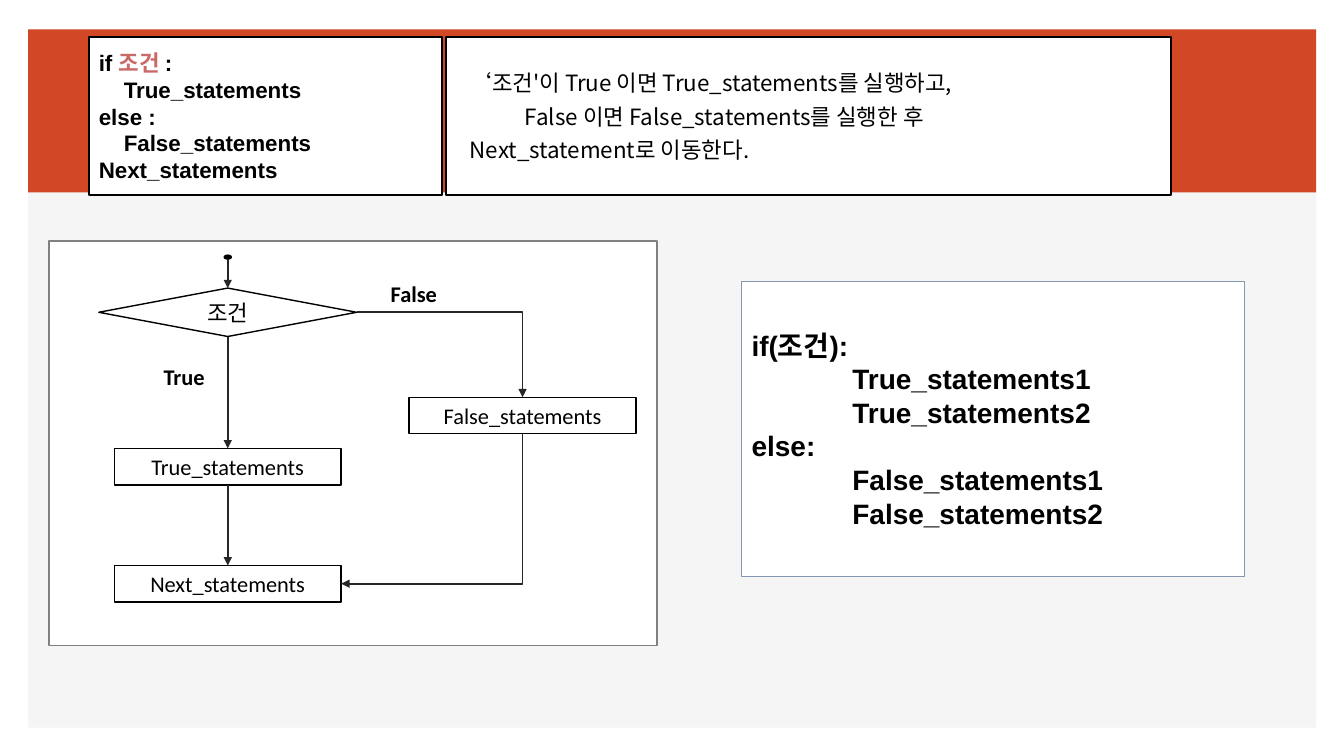
from pptx import Presentation
from pptx.dml.color import RGBColor
from pptx.enum.shapes import MSO_CONNECTOR, MSO_SHAPE
from pptx.enum.text import MSO_ANCHOR, PP_ALIGN
from pptx.oxml.ns import qn
from pptx.util import Cm, Pt
from lxml.etree import SubElement

KOREAN = "Noto Sans CJK KR"
BLACK = "000000"
WHITE = "FFFFFF"
FLOW_LINE = "262626"
CODE = {"name": "Arial", "size": Pt(16), "bold": True}
BIG_CODE = {**CODE, "size": Pt(20)}
NOTE = {"name": KOREAN, "size": Pt(16)}
STEP = {"name": "Calibri", "size": Pt(16)}
BRANCH = {**STEP, "bold": True}
CENTERED = {"alignment": PP_ALIGN.CENTER}

AXIS_X = 5.74
FALSE_X = 13.17
STEP_WIDTH = 5.72
STEP_HEIGHT = 0.92
CONDITION_WIDTH = 6.5
CONDITION_TOP = 7.26
CONDITION_HEIGHT = 1.22
TRUE_TOP = 11.3
FALSE_TOP = 10.01
NEXT_TOP = 14.25


def color(value):
    return RGBColor.from_string(value)


def set_attributes(target, values):
    for name, value in values.items():
        setattr(target, name, value)


def add_box(slide, kind, left, top, width, height, fill=None, line=None, weight=1):
    shape = slide.shapes.add_shape(kind, Cm(left), Cm(top), Cm(width), Cm(height))
    shape.shadow.inherit = False
    if fill:
        shape.fill.solid()
        shape.fill.fore_color.rgb = color(fill)
    else:
        shape.fill.background()
    if line:
        shape.line.color.rgb = color(line)
        shape.line.width = Pt(weight)
    else:
        shape.line.fill.background()
    return shape


def write(shape, lines, font, layout, indent=0, wrap=True, inset=0.25):
    frame = shape.text_frame
    set_attributes(frame, {
        "word_wrap": wrap, "vertical_anchor": MSO_ANCHOR.MIDDLE,
        "margin_left": Cm(inset), "margin_right": Cm(0.25),
        "margin_top": Cm(0.13), "margin_bottom": Cm(0.13)})
    for index, line in enumerate(lines):
        paragraph = frame.paragraphs[0] if index == 0 else frame.add_paragraph()
        set_attributes(paragraph, layout)
        if line.startswith("\t"):
            paragraph._p.get_or_add_pPr().set("marL", str(Cm(indent)))
        add_run(paragraph, line.strip("\t"), font)


def add_run(paragraph, text, font, text_color=BLACK):
    run = paragraph.add_run()
    run.text = text
    set_attributes(run.font, font)
    run.font.color.rgb = color(text_color)
    SubElement(run._r.get_or_add_rPr(), qn("a:ea")).set("typeface", KOREAN)


def add_step(slide, kind, center, top, width, height, text):
    shape = add_box(slide, kind, center - width / 2, top, width, height, line=BLACK)
    write(shape, [text], STEP, CENTERED)


def add_label(slide, left, top, width, text):
    label = slide.shapes.add_textbox(Cm(left), Cm(top), Cm(width), Cm(0.94))
    write(label, [text], BRANCH, CENTERED, wrap=False)


def add_arrow(slide, start, end, kind=MSO_CONNECTOR.STRAIGHT):
    arrow = slide.shapes.add_connector(kind, *map(Cm, start + end))
    arrow.line.color.rgb = color(FLOW_LINE)
    arrow.line.width = Pt(1.25)
    properties = arrow._element.spPr
    SubElement(properties.find(qn("a:ln")), qn("a:tailEnd")).set("type", "triangle")
    SubElement(properties, qn("a:effectLst"))
    return arrow


def add_bend(slide, start, end, turned=False):
    if turned:
        middle_x, middle_y = (start[0] + end[0]) / 2, (start[1] + end[1]) / 2
        half_width, half_height = abs(end[1] - start[1]) / 2, abs(end[0] - start[0]) / 2
        start = (middle_x - half_width, middle_y - half_height)
        end = (middle_x + half_width, middle_y + half_height)
    bend = add_arrow(slide, start, end, MSO_CONNECTOR.ELBOW)
    properties = bend._element.spPr
    properties.find(qn("a:prstGeom")).set("prst", "bentConnector2")
    if turned:
        properties.find(qn("a:xfrm")).set("rot", "5400000")


def add_header(slide):
    rectangle = MSO_SHAPE.RECTANGLE
    add_box(slide, rectangle, 0.71, 0.74, 32.46, 17.6, "F5F5F5")
    add_box(slide, rectangle, 0.71, 0.74, 32.46, 4.11, "D24726")

    syntax = add_box(slide, rectangle, 2.24, 0.93, 8.89, 3.99, WHITE, BLACK, 1.5)
    write(syntax, ["", "\tTrue_statements", "else :", "\tFalse_statements",
                   "Next_statements"], CODE, {"alignment": PP_ALIGN.LEFT}, 0.63)
    condition = syntax.text_frame.paragraphs[0]
    condition.runs[0].text = "if "
    add_run(condition, "조건 ", CODE, "CA6A68")
    add_run(condition, ":", CODE)

    meaning = add_box(slide, rectangle, 11.23, 0.93, 18.29, 3.99, WHITE, BLACK, 1.5)
    write(meaning, ["‘조건'이 True 이면 True_statements를 실행하고,",
                    "\tFalse 이면 False_statements를 실행한 후",
                    "Next_statement로 이동한다."], NOTE,
          {"alignment": PP_ALIGN.LEFT, "space_before": Pt(4.7)}, 1.39, inset=0.61)


def add_flowchart(slide):
    rectangle = MSO_SHAPE.RECTANGLE
    add_box(slide, rectangle, 1.24, 6.07, 15.32, 10.19, WHITE, "808080")
    add_box(slide, MSO_SHAPE.OVAL, AXIS_X - 0.09, 6.43, 0.18, 0.1, BLACK, BLACK)
    add_step(slide, MSO_SHAPE.DIAMOND, AXIS_X, CONDITION_TOP, CONDITION_WIDTH,
             CONDITION_HEIGHT, "조건")
    for center, top, text in ((FALSE_X, FALSE_TOP, "False_statements"),
                              (AXIS_X, TRUE_TOP, "True_statements"),
                              (AXIS_X, NEXT_TOP, "Next_statements")):
        add_step(slide, rectangle, center, top, STEP_WIDTH, STEP_HEIGHT, text)

    for start, end in ((6.53, CONDITION_TOP),
                       (CONDITION_TOP + CONDITION_HEIGHT, TRUE_TOP),
                       (TRUE_TOP + STEP_HEIGHT, NEXT_TOP)):
        add_arrow(slide, (AXIS_X, start), (AXIS_X, end))
    add_bend(slide, (AXIS_X + CONDITION_WIDTH / 2, CONDITION_TOP + CONDITION_HEIGHT / 2),
             (FALSE_X, FALSE_TOP))
    add_bend(slide, (FALSE_X, FALSE_TOP + STEP_HEIGHT),
             (AXIS_X + STEP_WIDTH / 2, NEXT_TOP + STEP_HEIGHT / 2), turned=True)
    add_label(slide, 9.58, 6.93, 1.7, "False")
    add_label(slide, 3.84, 9.02, 1.6, "True")


def add_example(slide):
    example = add_box(slide, MSO_SHAPE.RECTANGLE, 18.69, 7.09, 12.67, 7.44, WHITE, "8497B0")
    write(example, ["if(조건):", "\tTrue_statements1", "\tTrue_statements2", "else:",
                    "\tFalse_statements1", "\tFalse_statements2"], BIG_CODE,
          {"alignment": PP_ALIGN.LEFT}, 2.54)


def main():
    presentation = Presentation()
    set_attributes(presentation, {"slide_width": Cm(33.87), "slide_height": Cm(19.05)})
    slide = presentation.slides.add_slide(presentation.slide_layouts[6])
    add_header(slide)
    add_flowchart(slide)
    add_example(slide)
    presentation.save("out.pptx")


if __name__ == "__main__":
    main()
